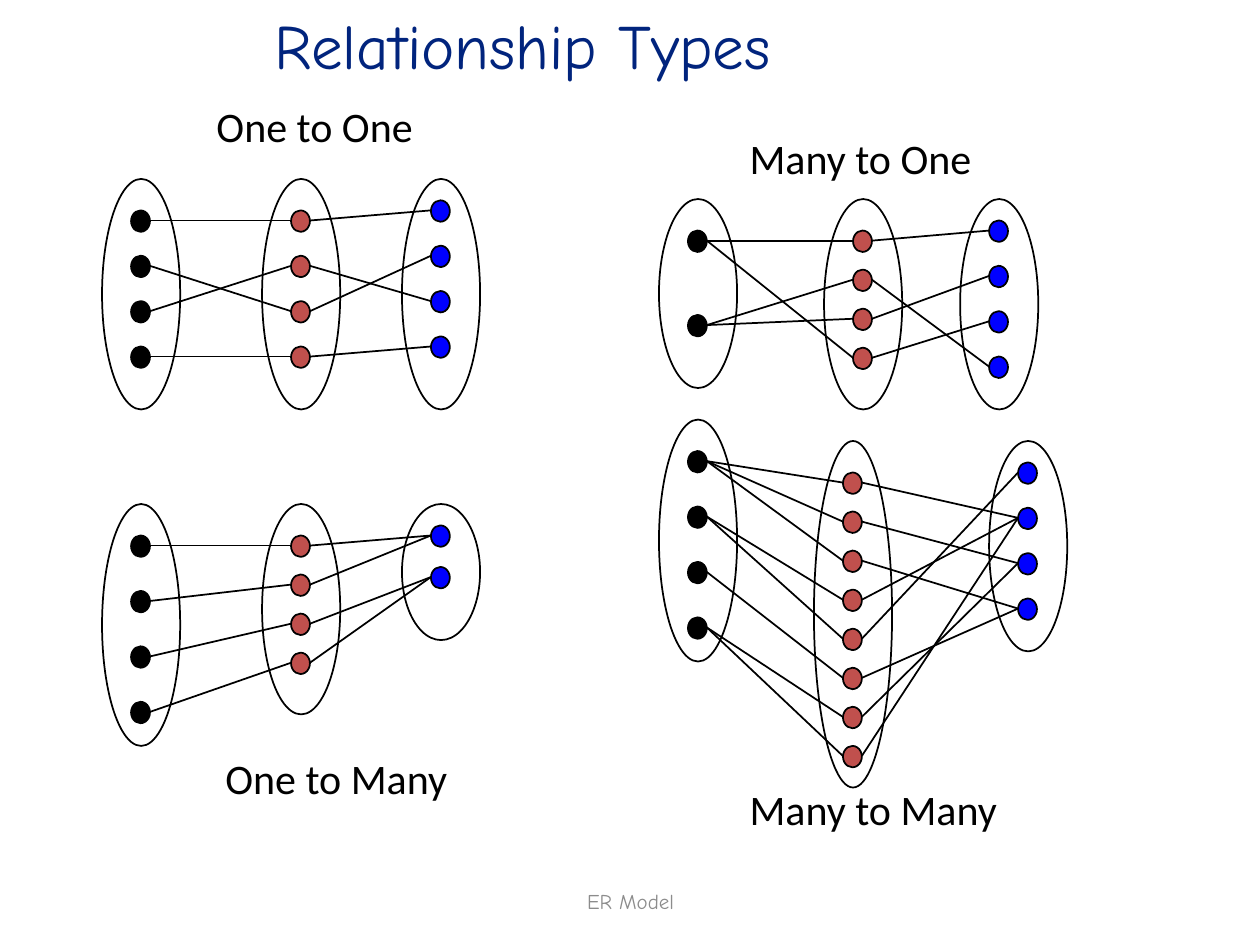
import pptx
import pptx.util
import pptx.dml.color
import pptx.enum.shapes
import pptx.enum.text
import pptx.oxml

EMU_PER_PX = 9144  # 100 px to the inch
COLORS = {
    "title": "01247D",
    "footer": "8C8C8C",
    "black": "000000",
    "red": "C0504D",
    "blue": "0000FF",
}
SET_WIDTH = 62
DOT_WIDTH, DOT_HEIGHT = 15, 17
# Gap between the top of a set and its first dot
FIRST_DOT = {"black": 25, "red": 25, "blue": 17}


def px(length):
    return pptx.util.Emu(length * EMU_PER_PX)


def color(name):
    return pptx.dml.color.RGBColor.from_string(COLORS[name])


class Diagram:
    """Draws the elements of a relationship diagram on one slide."""

    line_width = pptx.util.Pt(1)

    def __init__(self, slide):
        self.slide = slide

    def text(self, words, left, top, width, height=50, size=24, font="Calibri",
             color_name="black", wrap=False, grow=True):
        box = self.slide.shapes.add_textbox(px(left), px(top), px(width), px(height))
        frame = box.text_frame
        frame.text = words
        frame.word_wrap = wrap
        if grow:
            frame.auto_size = pptx.enum.text.MSO_AUTO_SIZE.SHAPE_TO_FIT_TEXT
        run_font = frame.paragraphs[0].runs[0].font
        run_font.size = pptx.util.Pt(size)
        run_font.name = font
        run_font.color.rgb = color(color_name)
        return frame

    def ellipse(self, left, top, width, height, fill=None):
        shape = self.slide.shapes.add_shape(
            pptx.enum.shapes.MSO_SHAPE.OVAL, px(left), px(top), px(width), px(height))
        shape.shadow.inherit = False
        shape.line.color.rgb = color("black")
        shape.line.width = self.line_width
        if fill:
            shape.fill.solid()
            shape.fill.fore_color.rgb = color(fill)
        else:
            shape.fill.background()

    def entity_set(self, fill, left, top, height, count, step):
        """Draw an outline with evenly spaced dots; return the dots' corners."""
        self.ellipse(left, top, SET_WIDTH, height)
        dot_left = left + (SET_WIDTH - DOT_WIDTH) // 2
        first = top + FIRST_DOT[fill]
        dots = [(dot_left, first + index * step) for index in range(count)]
        for dot in dots:
            self.ellipse(*dot, DOT_WIDTH, DOT_HEIGHT, fill)
        return dots

    def link(self, start, end):
        """Join the right side of one dot to the left side of another."""
        middle = DOT_HEIGHT // 2
        connector = self.slide.shapes.add_connector(
            pptx.enum.shapes.MSO_CONNECTOR.STRAIGHT,
            px(start[0] + DOT_WIDTH), px(start[1] + middle),
            px(end[0]), px(end[1] + middle))
        connector.line.color.rgb = color("black")
        connector.line.width = self.line_width
        connector._element.spPr.append(pptx.oxml.parse_xml(
            '<a:effectLst xmlns:a="http://schemas.openxmlformats.org/drawingml/2006/main"/>'))

    def relationship(self, label, label_box, sets, sources, targets):
        """Each red dot has one black source and one blue target."""
        blacks, reds, blues = [
            self.entity_set(fill, *values) for fill, values in zip(FIRST_DOT, sets)]
        for red, source, target in zip(reds, sources, targets):
            self.link(blacks[int(source)], red)
            self.link(red, blues[int(target)])
        self.text(label, *label_box)


# Label, its box (left, top, width), the sets (left, top, height, dots, step),
# then the index of the black source and of the blue target of each red dot
RELATIONSHIPS = [
    ("One to One", (162, 75, 177),
     [(81, 142, 183, 4, 36), (208, 142, 183, 4, 36), (319, 142, 183, 4, 36)],
     "0213", "0213"),
    ("Many to One", (585, 100, 198),
     [(523, 158, 150, 2, 67), (654, 158, 167, 4, 31), (762, 158, 167, 4, 36)],
     "0110", "0312"),
    ("One to Many", (169, 592, 198),
     [(81, 400, 192, 4, 44), (208, 400, 167, 4, 31), (319, 400, 108, 2, 33)],
     "0123", "0011"),
    ("Many to Many", (585, 617, 218),
     [(523, 333, 192, 4, 44), (646, 350, 275, 8, 31), (785, 350, 167, 4, 36)],
     "00011233", "12310321"),
]


def main():
    presentation = pptx.Presentation()
    presentation.slide_width = px(1000)
    presentation.slide_height = px(750)
    slide = presentation.slides.add_slide(presentation.slide_layouts[6])
    diagram = Diagram(slide)

    # Footer and title
    footer = diagram.text("ER Model", 342, 695, 317, 40, 12, "Comic Neue",
                          "footer", wrap=True, grow=False)
    footer.vertical_anchor = pptx.enum.text.MSO_ANCHOR.MIDDLE
    footer.paragraphs[0].alignment = pptx.enum.text.PP_ALIGN.CENTER
    title = diagram.text("Relationship Types", 208, 0, 654, 70, 36, "Comic Neue",
                         "title", wrap=True)
    title.paragraphs[0].space_before = pptx.util.Pt(6)

    # The four relationship types
    for relationship in RELATIONSHIPS:
        diagram.relationship(*relationship)

    presentation.save("out.pptx")


if __name__ == "__main__":
    main()
